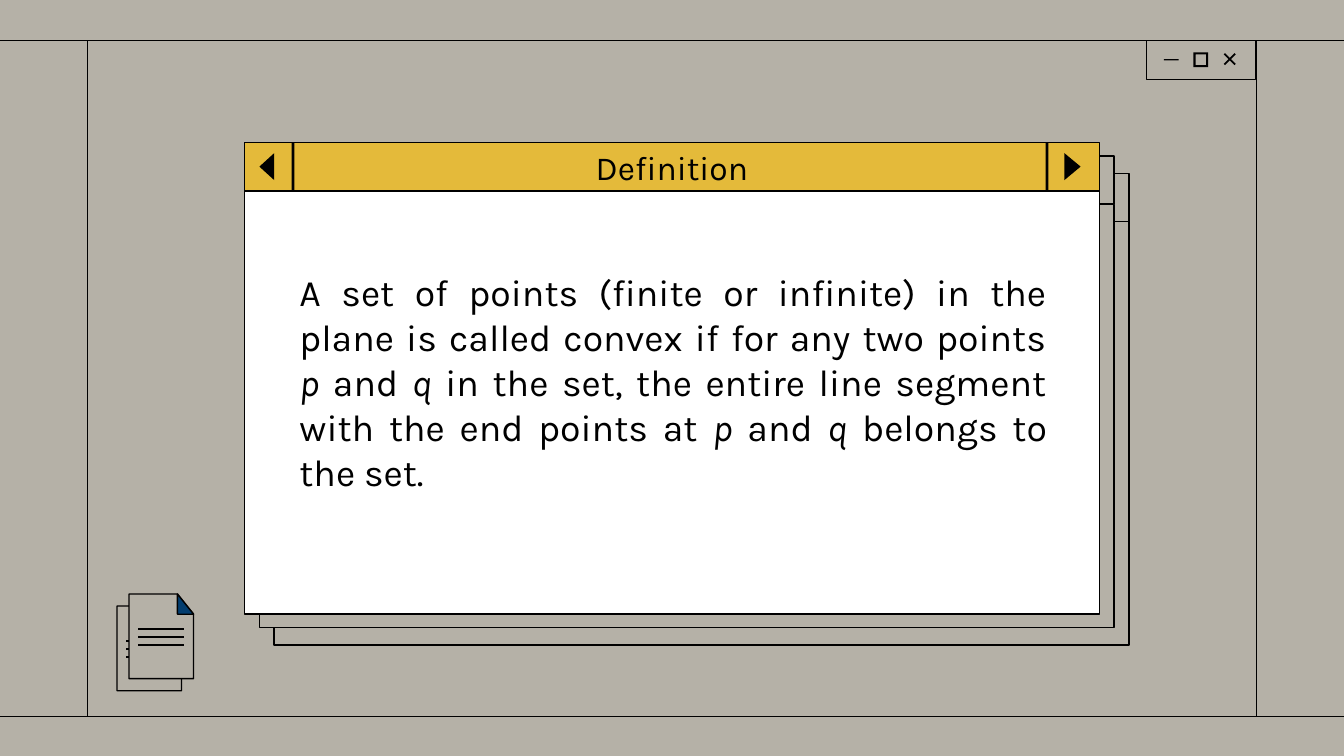
from pptx import Presentation
from pptx.dml.color import RGBColor
from pptx.enum.shapes import MSO_CONNECTOR, MSO_SHAPE
from pptx.enum.text import MSO_ANCHOR, MSO_AUTO_SIZE, PP_ALIGN
from pptx.oxml.ns import qn
from pptx.util import Inches, Pt
from lxml import etree

STRAIGHT = MSO_CONNECTOR.STRAIGHT
RECTANGLE, FRAME = MSO_SHAPE.RECTANGLE, MSO_SHAPE.FRAME
MIDDLE, NO_AUTOSIZE = MSO_ANCHOR.MIDDLE, MSO_AUTO_SIZE.NONE
CENTER, JUSTIFY = PP_ALIGN.CENTER, PP_ALIGN.JUSTIFY

STONE = RGBColor(0xB5, 0xB1, 0xA7)
BLACK = RGBColor(0, 0, 0)
WHITE = RGBColor(0xFF, 0xFF, 0xFF)
YELLOW = RGBColor(0xE4, 0xBA, 0x3A)
NAVY = RGBColor(0x02, 0x3D, 0x6F)

BAR_HEIGHT = 0.36
DEFINITION = [
    ("A set of points (finite or infinite) in the plane is called convex "
     "if for any two points ", False),
    ("p", True), (" and ", False), ("q", True),
    (" in the set, the entire line segment with the end points at ", False),
    ("p", True), (" and ", False), ("q", True),
    (" belongs to the set.", False),
]


def paint(shape, fill, line):
    if fill is None:
        shape.fill.background()
    else:
        shape.fill.solid()
        shape.fill.fore_color.rgb = fill
    if line is None:
        shape.line.fill.background()
    else:
        shape.line.color.rgb = line
        shape.line.width = Pt(0.75)


def add_block(page, left, top, width, height, fill, line=None, kind=RECTANGLE):
    block = page.shapes.add_shape(
        kind, Inches(left), Inches(top), Inches(width), Inches(height))
    block.shadow.inherit = False
    paint(block, fill, line)
    return block


def add_outline(page, points, fill, line=None):
    corners = [(Inches(x), Inches(y)) for x, y in points]
    builder = page.shapes.build_freeform(*corners[0])
    builder.add_line_segments(corners[1:], close=True)
    outline = builder.convert_to_shape()
    outline.shadow.inherit = False
    paint(outline, fill, line)


def add_rule(page, x1, y1, x2, y2, weight=0.75):
    rule = page.shapes.add_connector(
        STRAIGHT, Inches(x1), Inches(y1), Inches(x2), Inches(y2))
    rule.line.color.rgb = BLACK
    rule.line.width = Pt(weight)
    etree.SubElement(rule.element.spPr, qn("a:effectLst"))


def format_frame(frame):
    settings = {"word_wrap": True, "auto_size": NO_AUTOSIZE,
                "vertical_anchor": MIDDLE}
    for side in ("left", "right", "top", "bottom"):
        settings[f"margin_{side}"] = Inches(0.1)
    for name, value in settings.items():
        setattr(frame, name, value)


def write_spans(para, spans, size, alignment):
    para.alignment = alignment
    for text, italic in spans:
        span = para.add_run()
        span.text = text
        settings = {"name": "Karla", "size": Pt(size), "italic": italic,
                    "bold": False}
        for name, value in settings.items():
            setattr(span.font, name, value)
        span.font.color.rgb = BLACK


def add_desktop(page, left, top, right, bottom):
    for y in (top, bottom):
        add_rule(page, -0.03, y, 10.03, y)
    for x in (left, right):
        add_rule(page, x, top, x, bottom)


def add_window_buttons(page, left, top, width, height):
    add_block(page, left, top, width, height, STONE, BLACK)
    add_block(page, left + 0.13, top + 0.14, 0.11, 0.01, BLACK)
    square = add_block(page, left + 0.35, top + 0.09, 0.11, 0.11, BLACK, kind=FRAME)
    square.adjustments[0] = 0.14
    x1, x2, y1, y2 = left + 0.58, left + 0.66, top + 0.1, top + 0.18
    add_rule(page, x1, y1, x2, y2, 1)
    add_rule(page, x1, y2, x2, y1, 1)


def add_window(page, left, top, width, height, fill):
    add_block(page, left, top + BAR_HEIGHT, width, height - BAR_HEIGHT, fill, BLACK)
    add_block(page, left, top, width, BAR_HEIGHT, fill, BLACK)


def add_title_bar(page, left, top, width):
    title = page.shapes.title
    page.shapes.element.append(title.element)
    place = {"left": left, "top": top, "width": width, "height": BAR_HEIGHT}
    for name, value in place.items():
        setattr(title, name, Inches(value))
    paint(title, YELLOW, BLACK)
    format_frame(title.text_frame)
    write_spans(title.text_frame.paragraphs[0], [("Definition", False)], 18, CENTER)

    right, middle = left + width, top + 0.18
    for x in (left + 0.35, right - 0.4):
        add_block(page, x, top, 0.02, BAR_HEIGHT, BLACK)
    for base, tip in ((left + 0.22, left + 0.11), (right - 0.26, right - 0.14)):
        add_outline(page, [(base, middle - 0.1), (tip, middle),
                           (base, middle + 0.1)], BLACK)


def add_definition(page, left, top, width, height):
    box = page.shapes.add_textbox(
        Inches(left), Inches(top), Inches(width), Inches(height))
    format_frame(box.text_frame)
    write_spans(box.text_frame.paragraphs[0], DEFINITION, 20, JUSTIFY)


def add_document(page, left, top, width, height, fold_fill):
    right, bottom = left + width, top + height
    fold_x, fold_y = right - 0.12, top + 0.15
    add_outline(page, [(left, top), (left, bottom), (right, bottom),
                       (right, fold_y), (fold_x, top)], STONE, BLACK)
    add_outline(page, [(fold_x, top), (fold_x, fold_y), (right, fold_y)],
                fold_fill, BLACK)
    for row in range(3):
        y = top + 0.26 + row * 0.06
        add_rule(page, left + 0.07, y, right - 0.07, y)


def build_slide(deck):
    page = deck.slides.add_slide(deck.slide_layouts[5])
    page.background.fill.solid()
    page.background.fill.fore_color.rgb = STONE
    add_window_buttons(page, 8.53, 0.3, 0.81, 0.29)
    add_desktop(page, 0.65, 0.3, 9.35, 5.33)

    left, top, width, height = 1.82, 1.06, 6.36, 3.51
    add_window(page, left + 0.22, top + 0.23, width, height, None)
    add_window(page, left + 0.11, top + 0.1, width, height, STONE)
    add_block(page, left, top + BAR_HEIGHT, width, height - BAR_HEIGHT, WHITE, BLACK)
    add_title_bar(page, left, top, width)
    add_definition(page, left + 0.31, top + 0.92, 5.76, 1.72)

    add_document(page, 0.87, 4.51, 0.48, 0.63, YELLOW)
    add_document(page, 0.96, 4.42, 0.48, 0.63, NAVY)


def main():
    deck = Presentation()
    deck.slide_width = Inches(10)
    deck.slide_height = deck.slide_width * 9 // 16
    build_slide(deck)
    deck.save("out.pptx")


if __name__ == "__main__":
    main()
